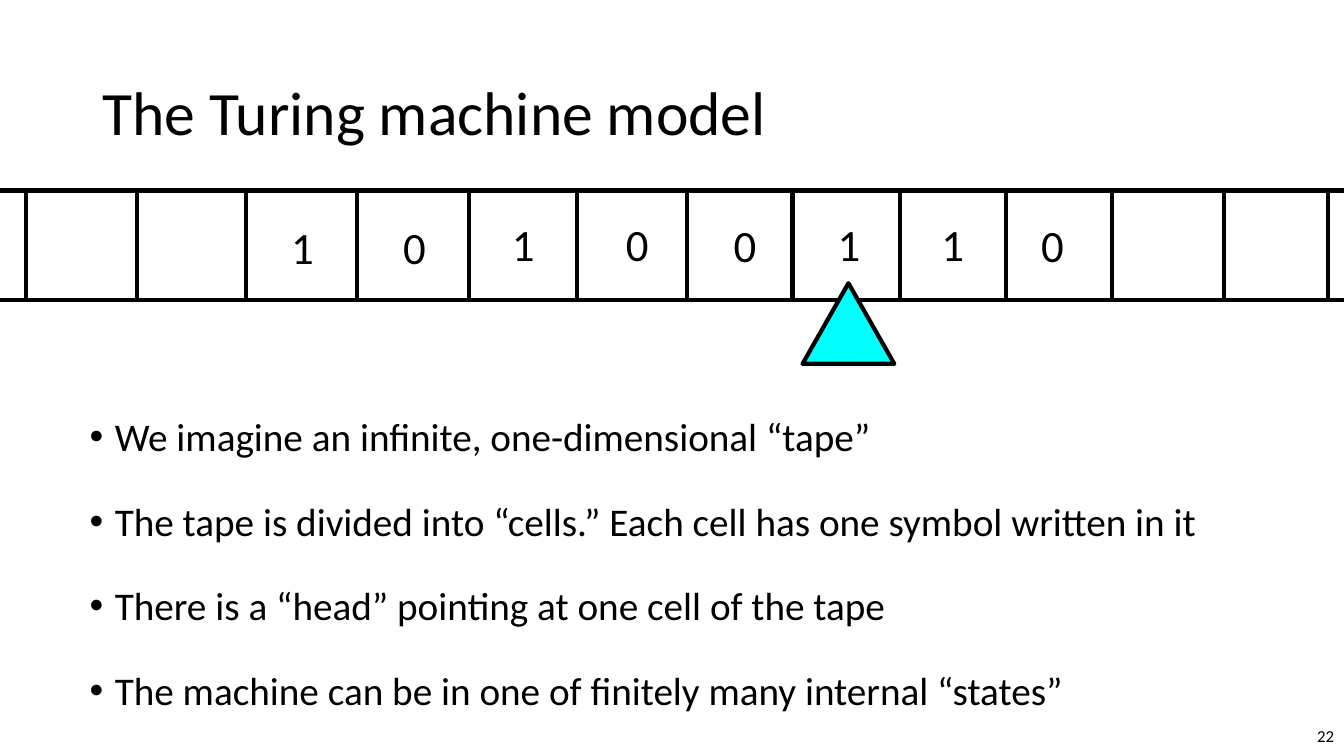
"""Build the slide that introduces the Turing machine tape and head."""
from lxml import etree
from pptx import Presentation, util as u
from pptx.dml.color import RGBColor
from pptx.enum import shapes as sh, text as tx
from pptx.oxml.ns import qn

BLACK = RGBColor(0, 0, 0)
CYAN = RGBColor(0, 255, 255)
FONT = "Calibri"
PX = 9144
WIDE, HIGH = 1333, 750

TITLE = "The Turing machine model"
POINTS = [
    "We imagine an infinite, one-dimensional “tape”",
    "The tape is divided into “cells.” Each cell has one symbol written in it",
    "There is a “head” pointing at one cell of the tape",
    "The machine can be in one of finitely many internal “states”",
]
PAGE = "22"
TOP, BASE = 189, 298
WALLS = [(26, 189), (136, 189), (244, 187), (354, 187), (465, 189), (572, 189),
         (681, 187), (786, 189), (893, 189), (998, 189), (1103, 187),
         (1214, 187), (1317, 189)]
TALL = 111
SYMBOLS = [("1", 271, 213), ("0", 382, 213), ("1", 490, 210), ("0", 603, 210),
           ("0", 710, 211), ("1", 813, 210), ("1", 916, 210), ("0", 1015, 211)]
HEAD = (796, 281, 91, 80)
MIDDLE = tx.MSO_ANCHOR.MIDDLE
LEFT, CENTER, RIGHT = tx.PP_ALIGN.LEFT, tx.PP_ALIGN.CENTER, tx.PP_ALIGN.RIGHT


def emu(*nums):
    return [u.Emu(n * PX) for n in nums]


def style(obj, form):
    for key, val in form.items():
        setattr(obj, key, val)


def write(slide, box, lines, size, form, anchor=tx.MSO_ANCHOR.TOP, gap=0, bullet=False):
    frame = slide.shapes.add_textbox(*emu(*box)).text_frame
    style(frame, {"word_wrap": True, "vertical_anchor": anchor})
    for i, line in enumerate(lines):
        para = frame.paragraphs[0] if i == 0 else frame.add_paragraph()
        style(para, {"text": line, "space_before": u.Pt(gap if i else 0), **form})
        if bullet:
            props = para._p.get_or_add_pPr()
            props.set("marL", str(25 * PX))
            props.set("indent", str(-25 * PX))
            etree.SubElement(props, qn("a:buFont")).set("typeface", "Arial")
            etree.SubElement(props, qn("a:buChar")).set("char", "•")
        style(para.font, {"name": FONT, "size": u.Pt(size)})
        para.font.color.rgb = BLACK


def ink(line):
    line.color.rgb = BLACK
    line.width = u.Pt(3)


def rule(slide, *ends):
    line = slide.shapes.add_connector(sh.MSO_CONNECTOR.STRAIGHT, *emu(*ends))
    ink(line.line)
    etree.SubElement(line._element.spPr, qn("a:effectLst"))


def main():
    deck = Presentation()
    deck.slide_width, deck.slide_height = emu(WIDE, HIGH)
    slide = deck.slides.add_slide(deck.slide_layouts[6])

    write(slide, (92, 42, 1150, 145), [TITLE], 44,
          {"alignment": LEFT, "line_spacing": 0.9}, MIDDLE)
    write(slide, (79, 381, 1203, 369), POINTS, 28,
          {"alignment": LEFT, "line_spacing": 1.5}, gap=10, bullet=True)
    write(slide, (1033, 710, 300, 40), [PAGE], 12, {"alignment": RIGHT}, MIDDLE)

    for y in (TOP, BASE):
        rule(slide, 0, y, WIDE, y)
    for x, y in WALLS:
        rule(slide, x, y, x, y + TALL)
    for sign, x, y in SYMBOLS:
        write(slide, (x, y, 58, 64), [sign], 32, {"alignment": CENTER})

    head = slide.shapes.add_shape(sh.MSO_SHAPE.ISOSCELES_TRIANGLE, *emu(*HEAD))
    head.shadow.inherit = False
    head.fill.solid()
    head.fill.fore_color.rgb = CYAN
    ink(head.line)
    deck.save("out.pptx")


if __name__ == "__main__":
    main()
